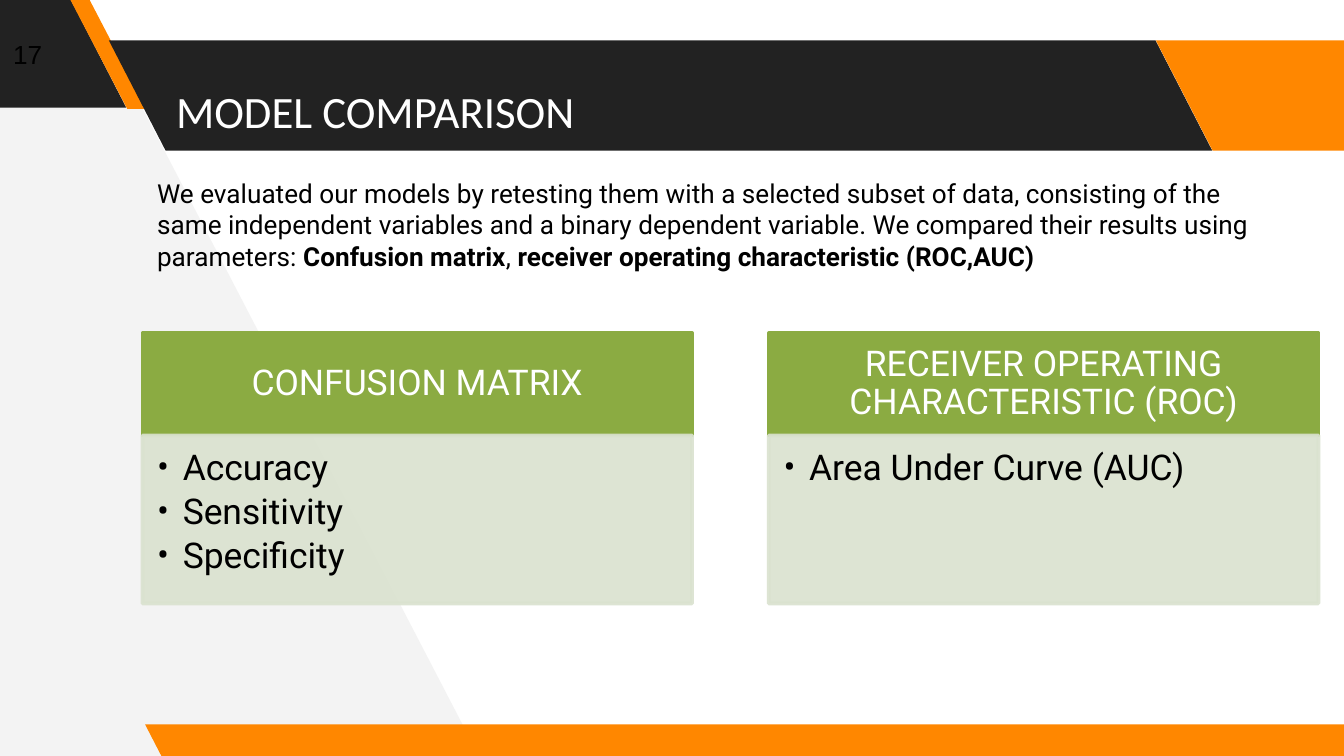
"""Build the model comparison slide."""
from lxml import etree
from pptx import Presentation
from pptx import util as u
from pptx.dml.color import RGBColor
from pptx.enum import shapes, text
from pptx.oxml.ns import qn

DARK, ORANGE, PALE = "222222", "FF8700", "F3F3F3"
GREEN, MINT, WHITE, BLACK = "8BAB42", "DAE2CF", "FFFFFF", "000000"

TITLE = "MODEL COMPARISON"
PAGE = "17"
INTRO = [
    ("We evaluated our models by retesting them with a selected subset of data, "
     "consisting of the same independent variables and a binary dependent variable. "
     "We compared their results using parameters: ", False),
    ("Confusion matrix", True),
    (", ", False),
    ("receiver operating characteristic (ROC,AUC)", True),
]
CARDS = [
    ("CONFUSION MATRIX", ["Accuracy", "Sensitivity", "Specificity"]),
    ("RECEIVER OPERATING CHARACTERISTIC (ROC)", ["Area Under Curve (AUC)"]),
]
WEDGE = [(3.56, 5.62), (0.62, -0.04), (-0.06, -0.04), (-0.02, 5.66)]
BANDS = [
    ((-0.99, -0.02, 1.93, 0.82), 0.515, DARK),
    ((0.52, -0.01, 0.57, 0.82), 0.75, ORANGE),
    ((0.81, 0.3, 8.21, 0.82), 0.515, DARK),
    ((8.6, 0.3, 1.92, 0.82), 0.515, ORANGE),
    ((1.08, 5.39, 9.15, 0.25), 0.515, ORANGE),
]
SLIDE_WIDTH = 10
CARD_LEFT, CARD_TOP, CARD_WIDTH, CARD_STEP = 1.06, 2.48, 4.09, 4.66
HEAD_HEIGHT, BODY_HEIGHT, INDENT = 0.76, 1.25, 0.19


def rgb(colour):
    return RGBColor.from_string(colour)


def inches(values):
    return [u.Inches(value) for value in values]


def apply(target, **values):
    for name, value in values.items():
        setattr(target, name, value)


def paint(shape, fill, outline=None, opacity=None):
    shape.shadow.inherit = False
    shape.fill.solid()
    shape.fill.fore_color.rgb = rgb(fill)
    if outline:
        shape.line.color.rgb = rgb(outline)
        shape.line.width = u.Pt(2)
    else:
        shape.line.fill.background()
    if opacity:
        for colour in shape._element.spPr.iter(qn("a:srgbClr")):
            etree.SubElement(colour, qn("a:alpha"), val=str(opacity * 1000))


def frame(shape, insets, anchor):
    sides = ("margin_left", "margin_top", "margin_right", "margin_bottom")
    apply(shape.text_frame, word_wrap=True, auto_size=text.MSO_AUTO_SIZE.NONE,
          vertical_anchor=anchor, **dict(zip(sides, inches(insets))))
    return shape.text_frame


def write(paragraph, words, size, colour, font="Roboto", bold=False):
    run = paragraph.add_run()
    run.text = words
    apply(run.font, size=u.Pt(size), name=font, bold=bold)
    run.font.color.rgb = rgb(colour)


def bullet(paragraph):
    properties = paragraph._p.get_or_add_pPr()
    properties.set("marL", str(u.Inches(INDENT)))
    properties.set("indent", str(-u.Inches(INDENT)))
    etree.SubElement(properties, qn("a:buFont"), typeface="Roboto")
    etree.SubElement(properties, qn("a:buChar"), char="•")


def add_backdrop(slide):
    start, *corners = [inches(point) for point in WEDGE]
    outline = slide.shapes.build_freeform(*start)
    outline.add_line_segments(corners, close=True)
    paint(outline.convert_to_shape(), PALE)
    for box, slant, colour in BANDS:
        band = slide.shapes.add_shape(shapes.MSO_SHAPE.PARALLELOGRAM, *inches(box))
        band.adjustments[0] = slant
        band._element.spPr.find(qn("a:xfrm")).set("flipH", "1")
        paint(band, colour)


def add_title(slide):
    title = slide.shapes.title
    slide.shapes._spTree.append(title._element)
    apply(title, **dict(zip(("left", "top", "width", "height"),
                            inches((1.21, 0.3, 7.35, 0.82)))))
    heading = frame(title, [0.1] * 4, text.MSO_ANCHOR.BOTTOM).paragraphs[0]
    heading.alignment = text.PP_ALIGN.LEFT
    write(heading, TITLE, 24, WHITE, "Calibri")


def add_note(slide, box, runs, font, anchor):
    note = slide.shapes.add_textbox(*inches(box))
    line = frame(note, (0.1, 0.05, 0.1, 0.05), anchor).paragraphs[0]
    for words, bold in runs:
        write(line, words, 14, BLACK, font, bold)


def add_card(slide, left, heading, measures):
    head = slide.shapes.add_shape(shapes.MSO_SHAPE.RECTANGLE, *inches(
        (left, CARD_TOP, CARD_WIDTH, HEAD_HEIGHT)))
    paint(head, GREEN, GREEN)
    line = frame(head, (0.15, 0.08, 0.15, 0.08), text.MSO_ANCHOR.MIDDLE).paragraphs[0]
    apply(line, alignment=text.PP_ALIGN.CENTER, line_spacing=0.9)
    write(line, heading, 19, WHITE)

    body = slide.shapes.add_shape(shapes.MSO_SHAPE.RECTANGLE, *inches(
        (left, CARD_TOP + HEAD_HEIGHT, CARD_WIDTH, BODY_HEIGHT)))
    paint(body, MINT, MINT, 90)
    content = frame(body, (0.11, 0.11, 0.15, 0.17), text.MSO_ANCHOR.TOP)
    for index, measure in enumerate(measures):
        line = content.add_paragraph() if index else content.paragraphs[0]
        apply(line, alignment=text.PP_ALIGN.LEFT, line_spacing=0.9, space_after=u.Pt(3))
        bullet(line)
        write(line, measure, 19, BLACK)


def main():
    deck = Presentation()
    apply(deck, slide_width=u.Inches(SLIDE_WIDTH),
          slide_height=u.Inches(SLIDE_WIDTH * 9 / 16))
    slide = deck.slides.add_slide(deck.slide_layouts[5])
    add_backdrop(slide)
    add_title(slide)
    for index, (heading, measures) in enumerate(CARDS):
        add_card(slide, CARD_LEFT + index * CARD_STEP, heading, measures)
    add_note(slide, (1.07, 1.27, 8.45, 0.81), INTRO, "Roboto", text.MSO_ANCHOR.TOP)
    add_note(slide, (0, 0.2, 0.6, 0.41), [(PAGE, False)], "Arial", text.MSO_ANCHOR.MIDDLE)
    deck.save("out.pptx")


if __name__ == "__main__":
    main()
